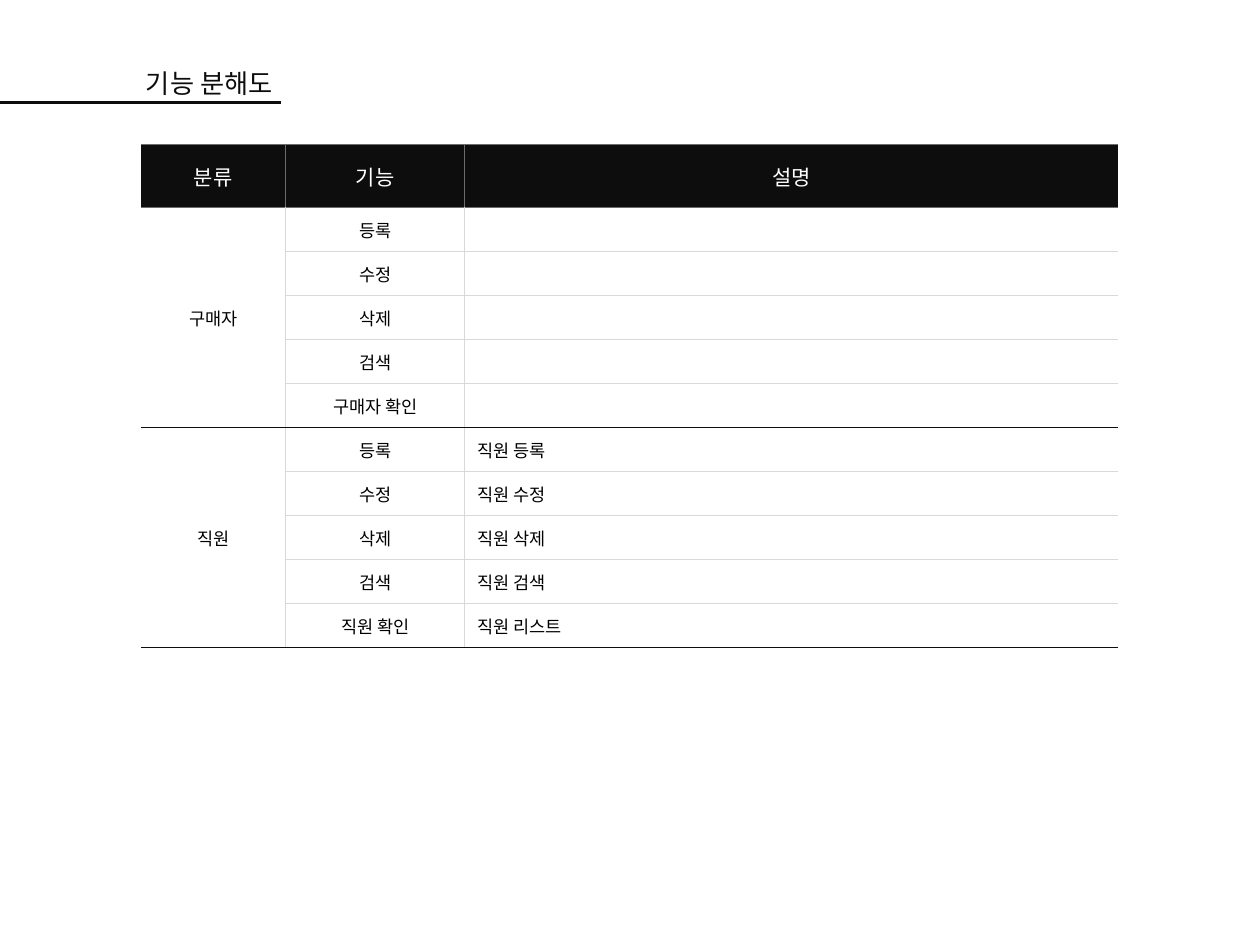
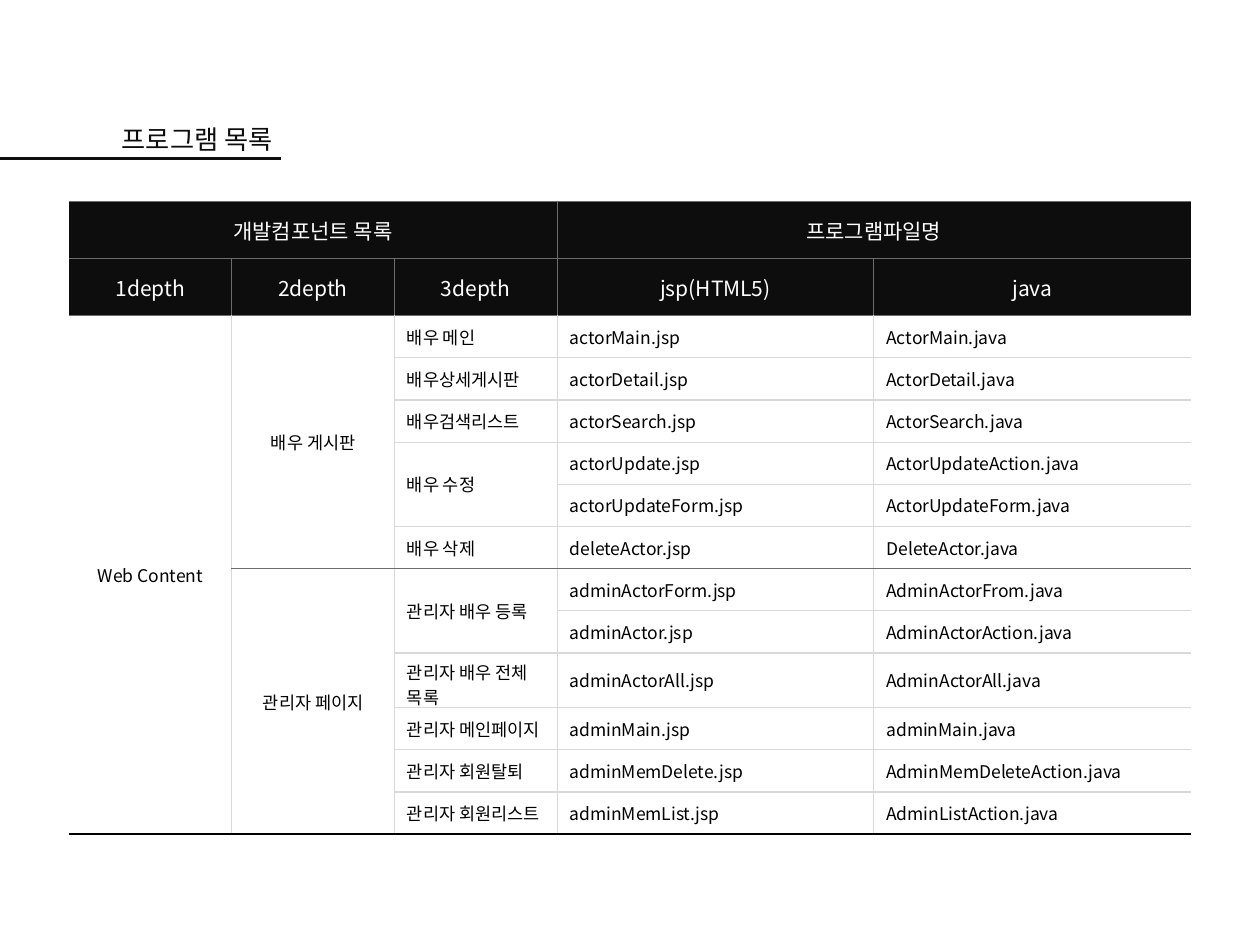
from dataclasses import dataclass

from lxml import etree
from pptx import Presentation
from pptx.dml.color import RGBColor
from pptx.enum.shapes import MSO_CONNECTOR
from pptx.enum.text import MSO_ANCHOR, MSO_AUTO_SIZE, PP_ALIGN
from pptx.oxml.ns import qn
from pptx.util import Pt

LEFT, CENTER, RIGHT = PP_ALIGN.LEFT, PP_ALIGN.CENTER, PP_ALIGN.RIGHT
MIDDLE = MSO_ANCHOR.MIDDLE
GROW = MSO_AUTO_SIZE.SHAPE_TO_FIT_TEXT
STRAIGHT = MSO_CONNECTOR.STRAIGHT


@dataclass(frozen=True)
class Theme:
    font: str = "Noto Sans CJK KR"
    ink: str = "0D0D0D"
    body: str = "000000"
    reverse: str = "FFFFFF"
    rule: str = "6C6C6C"
    hairline: str = "D9D9D9"
    title_size: float = 15
    header_size: float = 12
    body_size: float = 10
    strong_width: float = 1
    thin_width: float = 0.75
    underline_width: float = 1.5


THEME = Theme()

# None continues the cell above it, or the cell to its left in a header row.
FUNCTIONS = {
    "title": "기능 분해도",
    "underline_y": 58.5,
    "left": 80.6,
    "top": 82.6,
    "columns": [82.5, 102.5, 373.5],
    "header_height": 36,
    "row_height": 25.15,
    "headers": [["분류", "기능", "설명"]],
    "rows": [
        ["구매자", "등록", ""],
        [None, "수정", ""],
        [None, "삭제", ""],
        [None, "검색", ""],
        [None, "구매자 확인", ""],
        ["직원", "등록", "직원 등록"],
        [None, "수정", "직원 수정"],
        [None, "삭제", "직원 삭제"],
        [None, "검색", "직원 검색"],
        [None, "직원 확인", "직원 리스트"],
    ],
    "group_column": 0,
    "group_rule": THEME.ink,
    "closing_rule": THEME.ink,
    "tight_columns": [1],
}

PROGRAMS = {
    "title": "프로그램 목록",
    "underline_y": 90.4,
    "left": 39.4,
    "top": 115.2,
    "columns": [93, 93, 93, 181, 181],
    "header_height": 32.6,
    "row_height": 24.1,
    "headers": [
        ["개발컴포넌트 목록", None, None, "프로그램파일명", None],
        ["1depth", "2depth", "3depth", "jsp(HTML5)", "java"],
    ],
    "rows": [
        ["Web Content", "배우 게시판", "배우 메인", "actorMain.jsp", "ActorMain.java"],
        [None, None, "배우상세게시판", "actorDetail.jsp", "ActorDetail.java"],
        [None, None, "배우검색리스트", "actorSearch.jsp", "ActorSearch.java"],
        [None, None, "배우 수정", "actorUpdate.jsp", "ActorUpdateAction.java"],
        [None, None, None, "actorUpdateForm.jsp", "ActorUpdateForm.java"],
        [None, None, "배우 삭제", "deleteActor.jsp", "DeleteActor.java"],
        [None, "관리자 페이지", "관리자 배우 등록", "adminActorForm.jsp", "AdminActorFrom.java"],
        [None, None, None, "adminActor.jsp", "AdminActorAction.java"],
        [None, None, "관리자 배우 전체 목록", "adminActorAll.jsp", "AdminActorAll.java"],
        [None, None, "관리자 메인페이지", "adminMain.jsp", "adminMain.java"],
        [None, None, "관리자 회원탈퇴", "adminMemDelete.jsp", "AdminMemDeleteAction.java"],
        [None, None, "관리자 회원리스트", "adminMemList.jsp", "AdminListAction.java"],
    ],
    "group_column": 1,
    "group_rule": THEME.rule,
    "closing_rule": THEME.body,
    "tight_columns": [],
}

TITLE_BOX = {"left": 56.2, "rise": 32.6, "width": 106.6, "height": 31.7}
UNDERLINE_END = 160.6


def apply(target, formats):
    for attribute, value in formats.items():
        setattr(target, attribute, value)


def write(paragraph, text, size, color, align):
    paragraph.alignment = align
    if not text:
        etree.SubElement(paragraph._p, qn("a:endParaRPr"), sz=str(size * 100))
        return
    run = paragraph.add_run()
    run.text = text
    apply(run.font, {"size": Pt(size), "name": THEME.font})
    run.font.color.rgb = RGBColor.from_string(color)
    etree.SubElement(run.font._element, qn("a:ea"), typeface=THEME.font)


def add_title(slide, content):
    y = content["underline_y"]
    underline = slide.shapes.add_connector(STRAIGHT, 0, Pt(y), Pt(UNDERLINE_END), Pt(y))
    underline.line.width = Pt(THEME.underline_width)
    underline.line.color.rgb = RGBColor.from_string(THEME.ink)
    etree.SubElement(underline._element.spPr, qn("a:effectLst"))
    title = slide.shapes.add_textbox(
        Pt(TITLE_BOX["left"]), Pt(y - TITLE_BOX["rise"]),
        Pt(TITLE_BOX["width"]), Pt(TITLE_BOX["height"]))
    apply(title.text_frame, {"word_wrap": True, "auto_size": GROW})
    paragraph = title.text_frame.paragraphs[0]
    paragraph.line_spacing = 1.5
    write(paragraph, content["title"], THEME.title_size, THEME.ink, RIGHT)


def span_of(grid, row, column, header_count):
    if row < header_count:
        following = grid[row][column + 1:]
    else:
        following = [line[column] for line in grid[row + 1:]]
    span = 1
    for text in following:
        if text is not None:
            break
        span += 1
    return (1, span) if row < header_count else (span, 1)


def horizontal_rule(content, grid, edge, column):
    header_count = len(content["headers"])
    if edge <= header_count:
        return THEME.rule, THEME.strong_width
    if edge == len(grid):
        return content["closing_rule"], THEME.strong_width
    if grid[edge][column] is None:
        return None
    if column >= content["group_column"] and grid[edge][content["group_column"]]:
        return content["group_rule"], THEME.strong_width
    return THEME.hairline, THEME.thin_width


def vertical_rule(content, grid, row, edge):
    if edge in (0, len(content["columns"])):
        return None
    if row >= len(content["headers"]):
        return THEME.hairline, THEME.thin_width
    return None if grid[row][edge] is None else (THEME.rule, THEME.thin_width)


def set_borders(cell, rules):
    properties = cell._tc.get_or_add_tcPr()
    for side, rule in rules.items():
        if rule is None:
            border = etree.SubElement(properties, qn(f"a:ln{side}"))
            etree.SubElement(border, qn("a:noFill"))
            continue
        color, width = rule
        border = etree.SubElement(properties, qn(f"a:ln{side}"), w=str(Pt(width)))
        fill = etree.SubElement(border, qn("a:solidFill"))
        etree.SubElement(fill, qn("a:srgbClr"), val=color)


def add_grid(slide, content):
    grid = content["headers"] + content["rows"]
    header_count = len(content["headers"])
    heights = ([content["header_height"]] * header_count
               + [content["row_height"]] * len(content["rows"]))
    table = slide.shapes.add_table(
        len(grid), len(content["columns"]), Pt(content["left"]), Pt(content["top"]),
        Pt(sum(content["columns"])), Pt(sum(heights))).table
    apply(table, {"first_row": False, "horz_banding": False})
    for column, width in zip(table.columns, content["columns"]):
        column.width = Pt(width)
    for row, height in zip(table.rows, heights):
        row.height = Pt(height)

    for r, texts in enumerate(grid):
        in_header = r < header_count
        for c, text in enumerate(texts):
            cell = table.cell(r, c)
            rowspan, colspan = (1, 1) if text is None else span_of(grid, r, c, header_count)
            set_borders(cell, {
                "L": vertical_rule(content, grid, r, c),
                "R": vertical_rule(content, grid, r, c + colspan),
                "T": horizontal_rule(content, grid, r, c),
                "B": horizontal_rule(content, grid, r + rowspan, c),
            })
            if in_header:
                cell.fill.solid()
                cell.fill.fore_color.rgb = RGBColor.from_string(THEME.ink)
            else:
                cell.fill.background()
            cell.vertical_anchor = MIDDLE
            tight = c in content["tight_columns"]
            if tight and not in_header:
                apply(cell, {"margin_left": Pt(0.75), "margin_right": Pt(0.75),
                             "margin_top": Pt(0.75), "margin_bottom": 0})
            centred = in_header or tight or c <= content["group_column"]
            size = THEME.header_size if in_header else THEME.body_size
            color = THEME.reverse if in_header else THEME.body
            write(cell.text_frame.paragraphs[0], text, size, color, CENTER if centred else LEFT)
            if rowspan * colspan > 1:
                cell.merge(table.cell(r + rowspan - 1, c + colspan - 1))


def main():
    deck = Presentation()
    apply(deck, {"slide_width": Pt(720), "slide_height": Pt(540)})
    for content in (FUNCTIONS, PROGRAMS):
        slide = deck.slides.add_slide(deck.slide_layouts[6])
        add_title(slide, content)
        add_grid(slide, content)
    deck.save("out.pptx")


if __name__ == "__main__":
    main()
